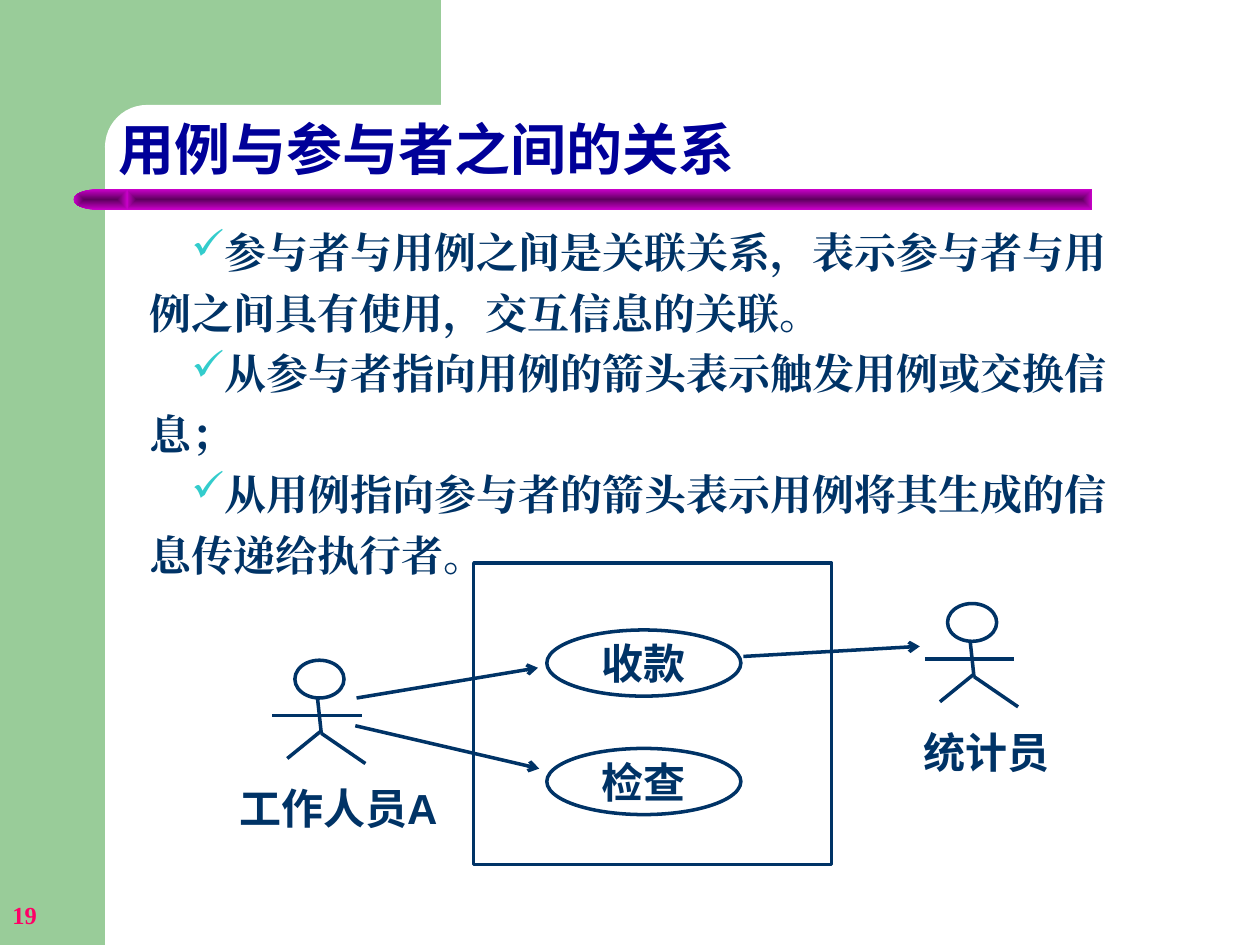
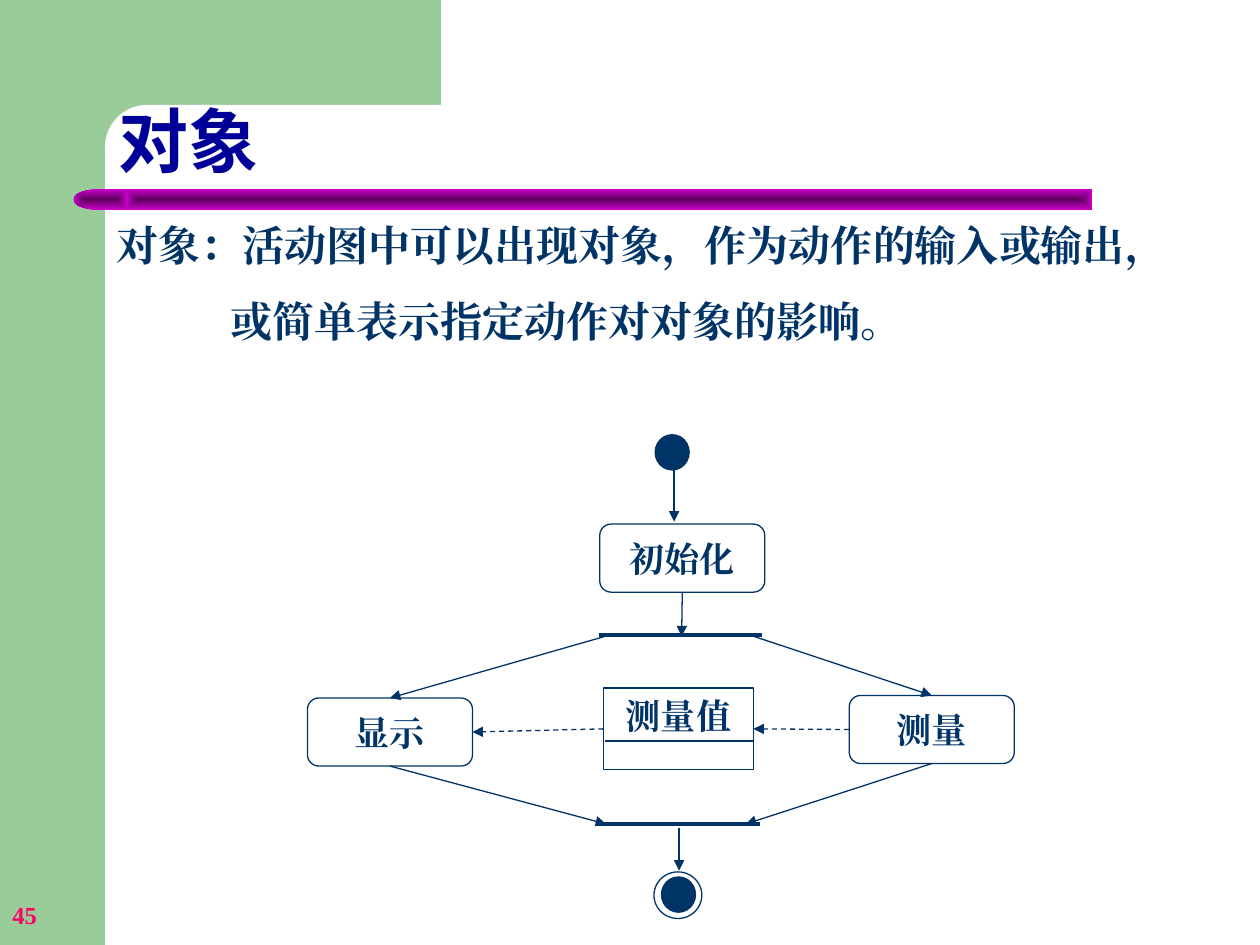
"""Build two UML slides: use case actors and objects in an activity diagram."""
from lxml import etree
from pptx import Presentation
from pptx.dml.color import RGBColor
from pptx.enum.dml import MSO_LINE
from pptx.enum.shapes import MSO_CONNECTOR, MSO_SHAPE
from pptx.enum.text import MSO_ANCHOR, PP_ALIGN
from pptx.oxml.ns import qn
from pptx.util import Inches, Pt

WIDTH, HEIGHT = Inches(10), Inches(7.5)
COLUMNS, ROWS = 100, 75
COLORS = {"green": "99CC99", "white": "FFFFFF", "ink": "003366", "title": "000099",
          "page": "FF0066", "check": "33CCCC", "bar_core": "5E005E", "bar_edge": "CC00CC"}
RECT, ROUND, OVAL = MSO_SHAPE.RECTANGLE, MSO_SHAPE.ROUNDED_RECTANGLE, MSO_SHAPE.OVAL
DELAY, ACTION = MSO_SHAPE.FLOWCHART_DELAY, MSO_SHAPE.FLOWCHART_ALTERNATE_PROCESS
OBJECT = MSO_SHAPE.FLOWCHART_PROCESS
STRAIGHT, DASH = MSO_CONNECTOR.STRAIGHT, MSO_LINE.DASH
TOP, MIDDLE, BOTTOM = MSO_ANCHOR.TOP, MSO_ANCHOR.MIDDLE, MSO_ANCHOR.BOTTOM
LEFT, CENTER = PP_ALIGN.LEFT, PP_ALIGN.CENTER
SITE_TOP, SITE_LEFT, SITE_BOTTOM, SITE_RIGHT = range(4)
BODY = {"name": "Times New Roman", "size": Pt(24), "bold": True}
LABEL = {**BODY, "name": "Arial"}
STEP = {**BODY, "size": Pt(20)}
PAGE = {**BODY, "size": Pt(14)}
THICK, THIN, SYNC = 2, 0.75, 2.5


def rgb(color):
    return RGBColor.from_string(COLORS[color])


def across(columns):
    return round(WIDTH * columns / COLUMNS)


def down(rows):
    return round(HEIGHT * rows / ROWS)


def cells(left, top, width, height):
    return across(left), down(top), across(width), down(height)


def write(shape, paragraphs, style, color="ink", anchor=TOP, wrap=True, **layout):
    """Fill a shape with paragraphs that share one run style and layout."""
    frame = shape.text_frame
    frame.word_wrap, frame.vertical_anchor = wrap, anchor
    for index, words in enumerate(paragraphs):
        paragraph = frame.add_paragraph() if index else frame.paragraphs[0]
        for attribute, value in layout.items():
            setattr(paragraph, attribute, value)
        run = paragraph.add_run()
        run.text = words
        for attribute, value in style.items():
            setattr(run.font, attribute, value)
        run.font.color.rgb = rgb(color)
        east_asian = etree.SubElement(run._r.get_or_add_rPr(), qn("a:ea"))
        east_asian.set("typeface", style["name"])
    return frame.paragraphs


def add_text(slide, box, paragraphs, style, **options):
    return write(slide.shapes.add_textbox(*cells(*box)), paragraphs, style, **options)


def add_form(slide, kind, box, fill=None, weight=None):
    """Add a preset shape with an optional fill and an optional ink outline."""
    form = slide.shapes.add_shape(kind, *cells(*box))
    form.shadow.inherit = False
    if fill:
        form.fill.solid()
        form.fill.fore_color.rgb = rgb(fill)
    else:
        form.fill.background()
    if weight:
        form.line.color.rgb = rgb("ink")
        form.line.width = Pt(weight)
    else:
        form.line.fill.background()
    return form


def add_node(slide, kind, box, words, style, weight, fill=None, anchor=MIDDLE):
    node = add_form(slide, kind, box, fill, weight)
    write(node, [words], style, anchor=anchor, wrap=False, alignment=CENTER)
    return node


def add_line(slide, start, end, weight, tip=None, dash=None):
    """Draw a line between grid points or (shape, site) pairs."""
    ends = [(0, 0) if hasattr(place[0], "shape_id") else (across(place[0]), down(place[1]))
            for place in (start, end)]
    line = slide.shapes.add_connector(STRAIGHT, *ends[0], *ends[1])
    for place, join in ((start, line.begin_connect), (end, line.end_connect)):
        if hasattr(place[0], "shape_id"):
            join(*place)
    line.line.color.rgb = rgb("ink")
    line.line.width = Pt(weight)
    if dash:
        line.line.dash_style = dash
    if tip:
        etree.SubElement(line.line._get_or_add_ln(), qn("a:tailEnd")).set("type", tip)
    etree.SubElement(line._element.spPr, qn("a:effectLst"))


def add_bar(slide, kind, box):
    """Add a piece of the purple title bar, dark in its core."""
    bar = add_form(slide, kind, box)
    bar.fill.gradient()
    for stop, color in zip(bar.fill.gradient_stops, ("bar_core", "bar_edge")):
        stop.color.rgb = rgb(color)
    gradient = bar._element.spPr.find(qn("a:gradFill"))
    gradient.remove(gradient.find(qn("a:lin")))
    shade = etree.SubElement(gradient, qn("a:path"))
    shade.set("path", "rect")
    center = etree.SubElement(shade, qn("a:fillToRect"))
    for side in "ltrb":
        center.set(side, "50000")
    return bar


def add_page(deck, title, title_style, number):
    """Add a slide with the green frame, title, title bar and page number."""
    slide = deck.slides.add_slide(deck.slide_layouts[6])
    add_form(slide, RECT, (0, 0, 8.33, ROWS), "green")
    add_form(slide, RECT, (7.5, 0, 27.5, 11.67), "green")
    add_form(slide, ROUND, (8.33, 8.33, 55.83, 6.67), "white").adjustments[0] = 0.5
    add_text(slide, (0, 70.1, 20.8, 5), [number], PAGE, color="page", anchor=MIDDLE)
    add_bar(slide, RECT, (10, 15, 76.7, 1.67))
    add_bar(slide, DELAY, (5.83, 15, 4.3, 1.67)).rotation = 180
    add_text(slide, (8.4, 8.6, 85, 6.4), [title], {**BODY, **title_style},
             color="title", anchor=BOTTOM, line_spacing=0.9)
    return slide


def indent(paragraph, margin, first=0):
    properties = paragraph._p.get_or_add_pPr()
    properties.set("marL", str(across(margin)))
    properties.set("indent", str(across(first)))
    return properties


def add_check(paragraph):
    properties = indent(paragraph, 2.3, 3.3)
    tint = etree.SubElement(properties, qn("a:buClr"))
    etree.SubElement(tint, qn("a:srgbClr")).set("val", COLORS["check"])
    etree.SubElement(properties, qn("a:buChar")).set("char", "✓")


def add_actor(slide, x, y, name, label_left, label_width):
    """Draw a stick figure whose head starts at x, y, with its name below."""
    add_form(slide, OVAL, (x, y, 3.9, 3), "white", THICK)
    limbs = (((-1.8, 4.4), (5.3, 4.4)), ((1.8, 3), (2.1, 5.8)),
             ((2.1, 5.6), (-0.6, 7.8)), ((2.1, 5.8), (5.6, 8.2)))
    for (x1, y1), (x2, y2) in limbs:
        add_line(slide, (x + x1, y + y1), (x + x2, y + y2), THICK)
    add_text(slide, (label_left, y + 9.25, label_width, 5), [name], LABEL,
             wrap=False, alignment=LEFT)


def build_use_cases(deck):
    slide = add_page(deck, "用例与参与者之间的关系",
                     {"name": "Noto Sans CJK JP", "size": Pt(32)}, "19")
    rules = add_text(slide, (8.6, 16.7, 82.9, 25), [
        "参与者与用例之间是关联关系，表示参与者与用例之间具有使用，交互信息的关联。",
        "从参与者指向用例的箭头表示触发用例或交换信息；",
        "从用例指向参与者的箭头表示用例将其生成的信息传递给执行者。",
    ], BODY, line_spacing=1.2)
    for rule in rules:
        add_check(rule)
    add_form(slide, RECT, (37.6, 44.7, 28.4, 23.9), "white", THICK)
    for row, use_case in enumerate(("收款", "检查")):
        add_node(slide, OVAL, (43.4, 50 + 9.4 * row, 15.4, 5.25), use_case,
                 LABEL, THICK, "white")
    add_actor(slide, 23.4, 52.4, "工作人员A", 18, 18.5)
    add_actor(slide, 75.2, 47.9, "统计员", 72.3, 12)
    for start, end in (((28.2, 57.6), (42.8, 61)), ((28.3, 55.4), (42.7, 53)),
                       ((59, 52.1), (73, 51.3))):
        add_line(slide, start, end, THICK, "arrow")


def build_objects(deck):
    slide = add_page(deck, "对象", {"name": "Arial", "size": Pt(40)}, "45")
    definition = add_text(slide, (8.3, 16.9, 85.1, 11.1), [
        "对象：活动图中可以出现对象，作为动作的输入或输出，",
        "或简单表示指定动作对对象的影响。",
    ], BODY)
    definition[1].space_before = Pt(15)
    indent(definition[1], 9)

    setup, display, measure = (
        add_node(slide, ACTION, (x, y, 13.1, 5.4), action, STEP, THIN)
        for x, y, action in ((47.6, 41.6, "初始化"), (24.4, 55.4, "显示"),
                             (67.4, 55.2, "测量")))
    reading = add_node(slide, OBJECT, (47.9, 54.6, 11.9, 6.5), "测量值", STEP, THIN,
                       anchor=TOP)
    add_line(slide, (48, 58.8), (59.8, 58.8), THIN)
    for x, y in ((47.5, 50.4), (47.3, 65.4)):
        add_line(slide, (x, y), (x + 13, y), SYNC)

    for x, y in ((52, 34.5), (52.5, 69.6)):
        add_form(slide, OVAL, (x, y, 2.7, 2.8), "ink", THIN)
    add_form(slide, OVAL, (51.9, 69.2, 3.8, 3.7), weight=THIN)

    flows = (((53.5, 36.1), (53.5, 41.4)),
             ((setup, SITE_BOTTOM), (54.1, 50.5)),
             ((48.4, 50.4), (display, SITE_TOP)),
             ((59.5, 50.4), (measure, SITE_TOP)),
             ((display, SITE_BOTTOM), (48.1, 65.4)),
             ((measure, SITE_BOTTOM), (59.2, 65.4)),
             ((53.9, 65.7), (53.9, 69.1)))
    for start, end in flows:
        add_line(slide, start, end, THIN, "triangle")
    for source, target in ((reading, display), (measure, reading)):
        add_line(slide, (source, SITE_LEFT), (target, SITE_RIGHT), THIN, "triangle", DASH)


def main():
    deck = Presentation()
    deck.slide_width, deck.slide_height = WIDTH, HEIGHT
    build_use_cases(deck)
    build_objects(deck)
    deck.save("out.pptx")


if __name__ == "__main__":
    main()
